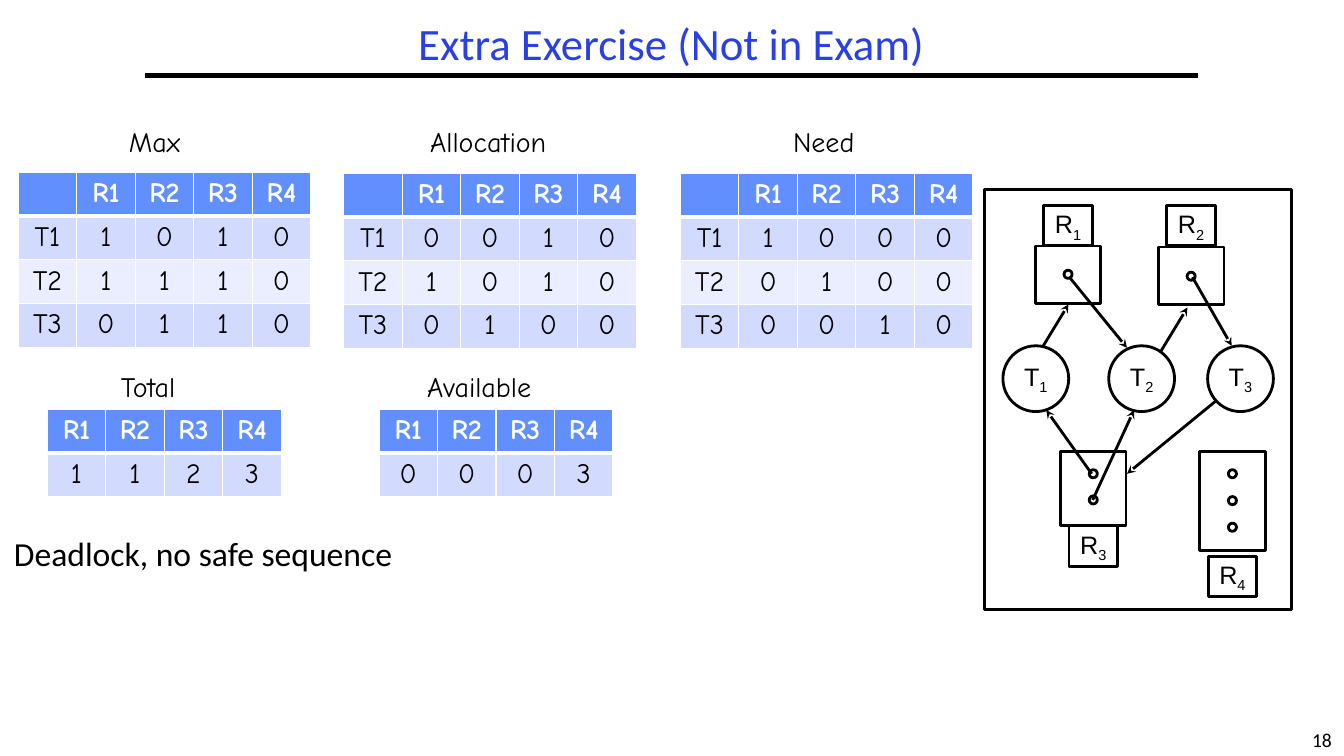
from pptx import Presentation
from pptx.dml.color import RGBColor
from pptx.enum.shapes import MSO_CONNECTOR, MSO_SHAPE as SHAPE
from pptx.enum.text import MSO_ANCHOR as ANCHOR, MSO_AUTO_SIZE as AUTO, PP_ALIGN as ALIGN
from pptx.oxml.ns import qn
from pptx.util import Pt
from lxml.etree import SubElement

COLORS = {"black": "000000", "white": "FFFFFF", "title": "2A40E2",
          "head": "618FFD", "odd": "D2DBFE", "even": "EAEEFF"}
BODY, HAND, DIAGRAM = "Calibri", "Comic Neue", "Arial"


def color(name):
    return RGBColor.from_string(COLORS[name])


class SlideBuilder:
    def __init__(self, prs):
        self.slide = prs.slides.add_slide(prs.slide_layouts[5])
        self.shapes = self.slide.shapes

    def run(self, p, text, font, size, ink="black", bold=False, sub=False):
        r = p.add_run()
        r.text = text
        r.font.name, r.font.size, r.font.bold = font, Pt(size), bold
        r.font.color.rgb = color(ink)
        if sub:
            r._r.get_or_add_rPr().set("baseline", "-25000")

    def title(self, text, x, y, w, h):
        sp = self.shapes.title
        sp.left, sp.top, sp.width, sp.height = Pt(x), Pt(y), Pt(w), Pt(h)
        sp.text_frame.vertical_anchor = ANCHOR.MIDDLE
        p = sp.text_frame.paragraphs[0]
        p.alignment, p.line_spacing = ALIGN.CENTER, 0.9
        self.run(p, text, BODY, 32, "title")

    def text(self, text, x, y, w, h, font, size, align=ALIGN.LEFT, wrap=False):
        tf = self.shapes.add_textbox(Pt(x), Pt(y), Pt(w), Pt(h)).text_frame
        tf.word_wrap, tf.auto_size = wrap, AUTO.SHAPE_TO_FIT_TEXT
        tf.paragraphs[0].alignment = align
        self.run(tf.paragraphs[0], text, font, size)

    def shape(self, kind, x, y, w, h, label=None):
        sp = self.shapes.add_shape(kind, Pt(x), Pt(y), Pt(w), Pt(h))
        sp.shadow.inherit = False
        sp.fill.solid()
        sp.fill.fore_color.rgb = color("white")
        sp.line.color.rgb, sp.line.width = color("black"), Pt(2)
        if label:
            tf = sp.text_frame
            tf.word_wrap, tf.vertical_anchor = False, ANCHOR.MIDDLE
            p = tf.paragraphs[0]
            p.alignment = ALIGN.CENTER
            self.run(p, label[0], DIAGRAM, 18)
            self.run(p, label[1], DIAGRAM, 18, sub=True)

    def line(self, x1, y1, x2, y2, width=2, arrow=False):
        cn = self.shapes.add_connector(MSO_CONNECTOR.STRAIGHT, Pt(x1), Pt(y1), Pt(x2), Pt(y2))
        cn.line.color.rgb, cn.line.width = color("black"), Pt(width)
        if arrow:
            SubElement(cn.line._get_or_add_ln(), qn("a:tailEnd"), type="stealth")
        SubElement(cn._element.spPr, qn("a:effectLst"))

    def borders(self, cell, bottom):
        tc_pr = cell._tc.get_or_add_tcPr()
        for side, width in (("L", 1), ("R", 1), ("T", 1), ("B", bottom)):
            ln = SubElement(tc_pr, qn(f"a:ln{side}"), w=str(Pt(width)))
            fill = SubElement(ln, qn("a:solidFill"))
            SubElement(fill, qn("a:srgbClr"), val=COLORS["white"])

    def table(self, rows, x, y, row_h):
        col_w = 41.8
        n_rows, n_cols = len(rows), len(rows[0])
        table = self.shapes.add_table(n_rows, n_cols, Pt(x), Pt(y),
                                      Pt(col_w * n_cols), Pt(row_h * n_rows)).table
        table.first_row = table.horz_banding = False
        for col in table.columns:
            col.width = Pt(col_w)
        for i, row in enumerate(rows):
            table.rows[i].height = Pt(row_h)
            head = i == 0
            back = "head" if head else ("odd" if i % 2 else "even")
            for j, value in enumerate(row):
                cell = table.cell(i, j)
                self.borders(cell, 3 if head else 1)
                cell.fill.solid()
                cell.fill.fore_color.rgb = color(back)
                if value:
                    p = cell.text_frame.paragraphs[0]
                    p.alignment = ALIGN.CENTER
                    self.run(p, value, HAND, 20, "white" if head else "black", head)


def main():
    prs = Presentation()
    prs.slide_width, prs.slide_height = Pt(960), Pt(540)
    s = SlideBuilder(prs)

    # Title, rule and slide number
    s.title("Extra Exercise (Not in Exam)", 103.7, 12.2, 751.7, 41.8)
    s.line(103.7, 54, 856, 54, width=3)
    s.text("18", 928.8, 516.2, 31, 23.8, BODY, 14, ALIGN.CENTER)

    # Thread matrices: caption, caption x and width, table x and y, row height, values
    resources = ["R1", "R2", "R3", "R4"]
    matrices = [
        ("Max", 85, 54.7, 13, 123.1, 30.2, ("1010", "1110", "0110")),
        ("Allocation", 300.2, 108, 245.5, 123.8, 30.2, ("0010", "1010", "0100")),
        ("Need", 559.4, 64.8, 486, 123.8, 31.1, ("1000", "0100", "0010")),
    ]
    for name, cap_x, cap_w, x, y, row_h, values in matrices:
        s.text(name, cap_x, 85.7, cap_w, 31.7, HAND, 20)
        threads = [[f"T{i}", *row] for i, row in enumerate(values, 1)]
        s.table([["", *resources], *threads], x, y, row_h)

    # Resource vectors
    vectors = [("Total", 79.2, 64, 33.8, 30.2, "1123"),
               ("Available", 298, 100, 270.7, 31.1, "0003")]
    for name, cap_x, cap_w, x, row_h, values in vectors:
        s.text(name, cap_x, 260.6, cap_w, 31.7, HAND, 20)
        s.table([resources, list(values)], x, 292.3, row_h)

    # Resource graph: frame and threads
    size, dot = 47, 5.8
    s.shape(SHAPE.RECTANGLE, 703.4, 135.4, 218.9, 300.2)
    for i, x in enumerate((716.4, 792, 862.6), 1):
        s.shape(SHAPE.OVAL, x, 247, size, size, ("T", str(i)))

    # Resources: box x, y, height, tag y and instance dots
    boxes = [(739.4, 175.7, 41, 146.9, [193]),
             (827.3, 176.4, 41, 146.9, [194.4]),
             (757.4, 322.6, 52.8, 375.8, [335.5, 354.2]),
             (856.8, 322.6, 70.6, 397.4, [335.5, 354.7, 373.7])]
    for i, (x, y, h, tag_y, dots) in enumerate(boxes, 1):
        s.shape(SHAPE.RECTANGLE, x, y, size, h)
        for dot_y in dots:
            s.shape(SHAPE.OVAL, x + (size - dot) / 2, dot_y, dot, dot)
        s.shape(SHAPE.RECTANGLE, x + 6.2, tag_y, 34.6, 28.8, ("R", str(i)))

    # Requests and assignments
    arrows = [(745.2, 247, 763.2, 217.4), (763.9, 198, 805, 248.4),
              (829.4, 250.6, 848.2, 219.6), (851.8, 198, 879.8, 247),
              (779.8, 338.4, 747.4, 293), (780.5, 357.1, 810, 293),
              (868.3, 286.6, 805, 338.4)]
    for ends in arrows:
        s.line(*ends, arrow=True)

    # Conclusion
    s.text("Deadlock, no safe sequence", 2.9, 377.3, 339, 36, BODY, 24, wrap=True)

    prs.save("out.pptx")


if __name__ == "__main__":
    main()
